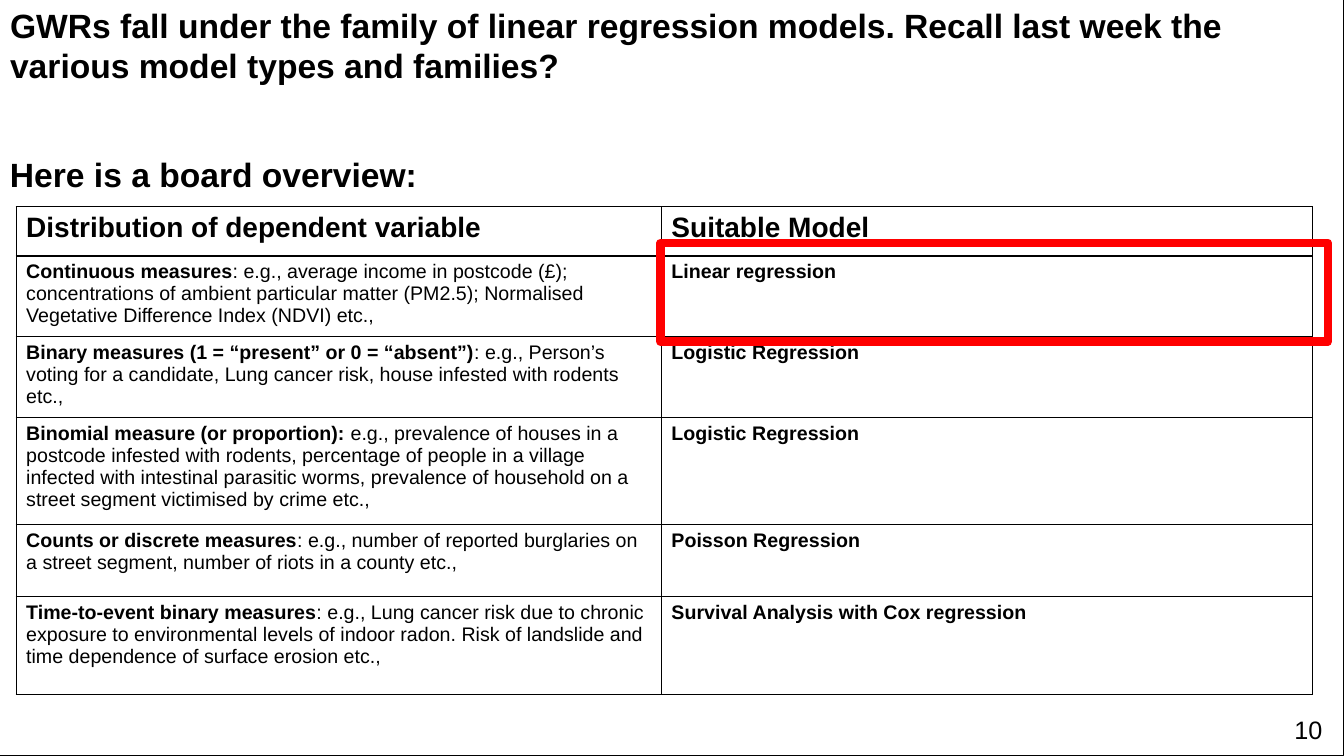
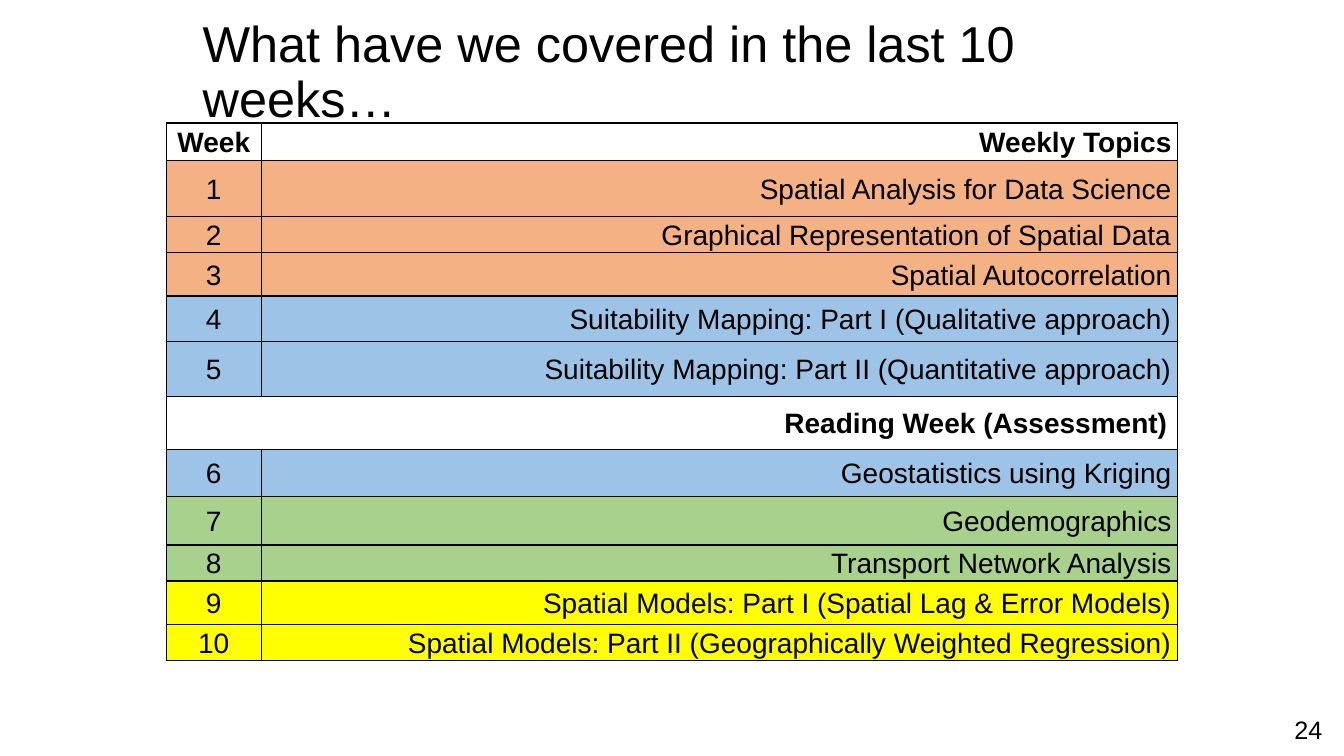
from dataclasses import dataclass

from lxml.etree import SubElement
from pptx import Presentation
from pptx.dml.color import RGBColor
from pptx.enum.shapes import MSO_SHAPE
from pptx.enum.text import MSO_ANCHOR, MSO_AUTO_SIZE, PP_ALIGN
from pptx.oxml.ns import qn
from pptx.util import Inches, Pt


@dataclass(frozen=True)
class Theme:
    font: str = "Arial"
    ink: str = "000000"
    mark: str = "FF0000"
    orange: str = "F4B183"
    blue: str = "9DC3E6"
    green: str = "A9D18E"
    yellow: str = "FFFF00"
    title: int = 36
    heading: int = 24
    table: int = 20
    page: int = 18
    small: int = 14


T = Theme()
W, H = 13.33, 7.5

# Content: models by distribution (height, bold lead, rest, model)
MODELS_TITLE = ("GWRs fall under the family of linear regression models. "
                "Recall last week the various model types and families?")
MODELS_INTRO = "Here is a board overview:"
MODELS_HEAD = ("Distribution of dependent variable", "Suitable Model")
MODELS_HEAD_H = 0.49
MODELS = [
    (0.80, "Continuous measures",
     ": e.g., average income in postcode (£); concentrations of ambient particular "
     "matter (PM2.5); Normalised Vegetative Difference Index (NDVI) etc.,",
     "Linear regression"),
    (0.76, "Binary measures (1 = “present” or 0 = “absent”)",
     ": e.g., Person’s voting for a candidate, Lung cancer risk, house infested "
     "with rodents etc.,",
     "Logistic Regression"),
    (1.06, "Binomial measure (or proportion): ",
     "e.g., prevalence of houses in a postcode infested with rodents, percentage of "
     "people in a village infected with intestinal parasitic worms, prevalence of "
     "household on a street segment victimised by crime etc.,",
     "Logistic Regression"),
    (0.72, "Counts or discrete measures",
     ": e.g., number of reported burglaries on a street segment, number of riots "
     "in a county etc.,",
     "Poisson Regression"),
    (0.97, "Time-to-event binary measures",
     ": e.g., Lung cancer risk due to chronic exposure to environmental levels of "
     "indoor radon. Risk of landslide and time dependence of surface erosion etc.,",
     "Survival Analysis with Cox regression"),
]

# Content: weekly topics (height, week, topic, fill); no week means a merged row
WEEKS_TITLE = "What have we covered in the last 10 weeks…"
WEEKS = [
    (0.37, "Week", "Weekly Topics", None),
    (0.56, "1", "Spatial Analysis for Data Science", T.orange),
    (0.34, "2", "Graphical Representation of Spatial Data", T.orange),
    (0.43, "3", "Spatial Autocorrelation", T.orange),
    (0.45, "4", "Suitability Mapping: Part I (Qualitative approach)", T.blue),
    (0.55, "5", "Suitability Mapping: Part II (Quantitative approach)", T.blue),
    (0.52, None, "Reading Week (Assessment)", None),
    (0.47, "6", "Geostatistics using Kriging", T.blue),
    (0.48, "7", "Geodemographics", T.green),
    (0.34, "8", "Transport Network Analysis", T.green),
    (0.43, "9", "Spatial Models: Part I (Spatial Lag & Error Models)", T.yellow),
    (0.34, "10", "Spatial Models: Part II (Geographically Weighted Regression)",
     T.yellow),
]


def rgb(value):
    return RGBColor.from_string(value)


def write(tf, runs, size, align=PP_ALIGN.LEFT, spacing=1.0):
    """Fill a text frame with one paragraph of (text, bold) runs."""
    tf.word_wrap = True
    p = tf.paragraphs[0]
    p.alignment, p.line_spacing = align, spacing
    p.font.name, p.font.size = T.font, Pt(size)
    p.font.color.rgb = rgb(T.ink)
    for text, bold in runs:
        r = p.add_run()
        r.text, r.font.bold = text, bold


def add_text(s, box, runs, size):
    write(s.shapes.add_textbox(*map(Inches, box)).text_frame, runs, size)


def add_slide(prs, page, title, box, size, bold, spacing):
    """Title-only slide with a formatted title and a page number."""
    s = prs.slides.add_slide(prs.slide_layouts[5])
    sp = s.shapes.title
    sp.left, sp.top, sp.width, sp.height = map(Inches, box)
    tf = sp.text_frame
    tf.vertical_anchor = MSO_ANCHOR.TOP
    tf.auto_size = MSO_AUTO_SIZE.NONE
    write(tf, [(title, bold)], size, spacing=spacing)
    add_text(s, (12.74, 7.04, 0.59, 0.4), [(page, False)], T.page)
    return s


def add_frame(s, box, color, weight):
    """Unfilled outline rectangle."""
    sp = s.shapes.add_shape(MSO_SHAPE.RECTANGLE, *map(Inches, box))
    sp.shadow.inherit = False
    sp.fill.background()
    sp.line.color.rgb, sp.line.width = rgb(color), Pt(weight)


def style_cell(cell, fill=None):
    """Thin borders on all sides, and a solid fill or none."""
    tcPr = cell._tc.get_or_add_tcPr()
    for side in ("lnL", "lnR", "lnT", "lnB"):
        ln = SubElement(tcPr, qn(f"a:{side}"), w=str(Pt(1)))
        SubElement(SubElement(ln, qn("a:solidFill")), qn("a:srgbClr"), val=T.ink)
    if fill:
        cell.fill.solid()
        cell.fill.fore_color.rgb = rgb(fill)
    else:
        cell.fill.background()


def add_grid(s, left, top, cols, rows):
    """Plain table whose size follows from its columns and rows."""
    box = (left, top, sum(cols), sum(rows))
    table = s.shapes.add_table(len(rows), len(cols), *map(Inches, box)).table
    table.first_row = table.horz_banding = False
    for col, width in zip(table.columns, cols):
        col.width = Inches(width)
    for row, height in zip(table.rows, rows):
        row.height = Inches(height)
    return table


def models_slide(prs):
    s = add_slide(prs, "10", MODELS_TITLE, (0, 0, W, 0.95), T.heading, True, 1.0)
    add_frame(s, (0, 0, W, H), T.ink, 0.75)
    add_text(s, (0, 1.48, W, 0.5), [(MODELS_INTRO, True)], T.heading)

    # Table: heading row, then one row per distribution
    rows = [MODELS_HEAD_H] + [m[0] for m in MODELS]
    table = add_grid(s, 0.16, 2.05, (6.4, 6.46), rows)
    texts = [[[(head, True)] for head in MODELS_HEAD]]
    texts += [[[(lead, True), (rest, False)], [(model, True)]]
              for _, lead, rest, model in MODELS]
    for i, line in enumerate(texts):
        for j, runs in enumerate(line):
            cell = table.cell(i, j)
            style_cell(cell)
            write(cell.text_frame, runs, T.small if i else T.table)

    # Highlight around the linear regression cell
    add_frame(s, (6.55, 2.41, 6.62, 0.98), T.mark, 6)


def weeks_slide(prs):
    s = add_slide(prs, "24", WEEKS_TITLE, (1.91, 0.14, 10.2, 0.88), T.title, False, 0.9)
    table = add_grid(s, 1.65, 1.22, (0.94, 9.09), [w[0] for w in WEEKS])
    for i, (_, week, topic, fill) in enumerate(WEEKS):
        cells = [table.cell(i, j) for j in range(2)]
        for cell in cells:
            style_cell(cell, fill)
            cell.vertical_anchor = MSO_ANCHOR.MIDDLE
            if week:
                cell.margin_left = cell.margin_right = Inches(0.06)
                cell.margin_top = cell.margin_bottom = 0
        bold = i == 0 or not week
        if week:
            write(cells[0].text_frame, [(week, bold)], T.table, PP_ALIGN.CENTER, 1.07)
        else:
            cells[0].merge(cells[1])
        target = cells[1] if week else cells[0]
        write(target.text_frame, [(topic, bold)], T.table, PP_ALIGN.RIGHT, 1.07)


def main():
    prs = Presentation()
    prs.slide_width, prs.slide_height = Inches(W), Inches(H)
    models_slide(prs)
    weeks_slide(prs)
    prs.save("out.pptx")


if __name__ == "__main__":
    main()
